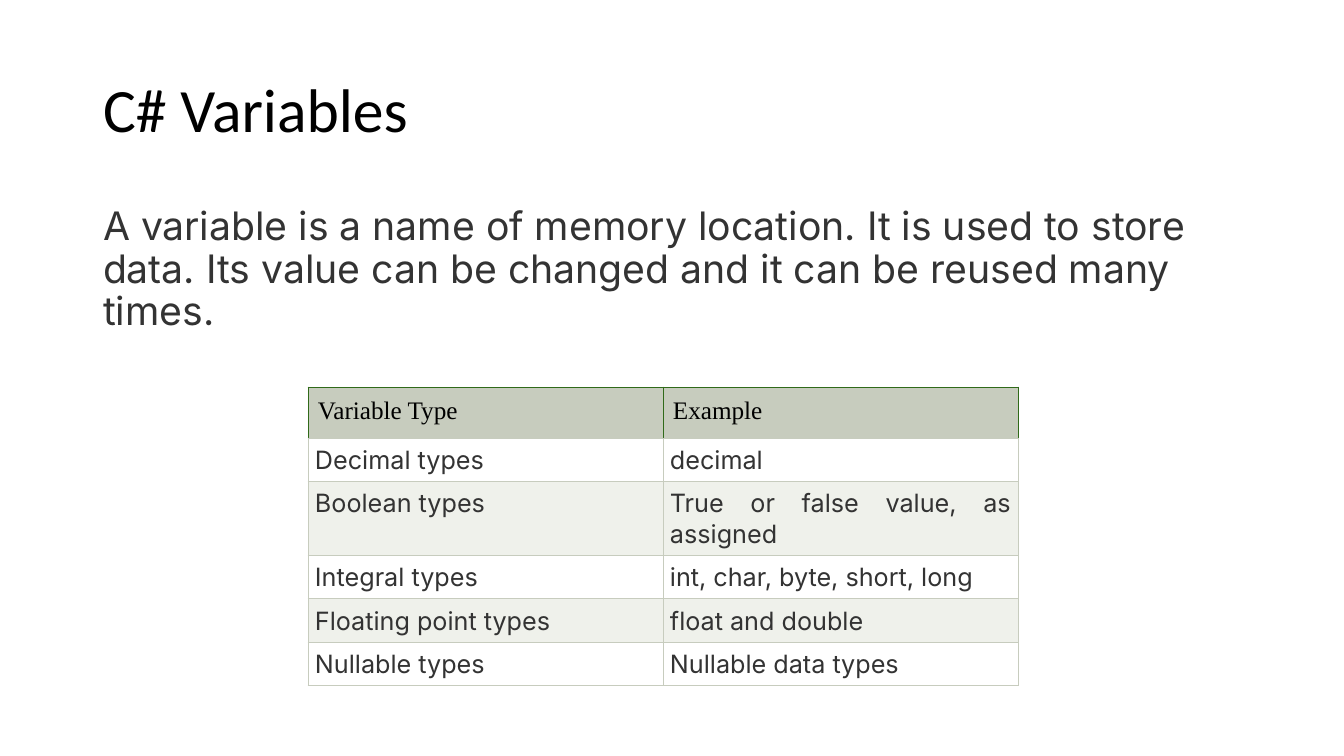
from typing import NamedTuple

from lxml.etree import SubElement
from pptx import Presentation
from pptx.dml.color import RGBColor
from pptx.enum.text import MSO_ANCHOR, MSO_AUTO_SIZE, PP_ALIGN
from pptx.oxml.ns import qn
from pptx.util import Pt

EMU_PER_PIXEL = 914400 / 100.8
BLACK, DARK_GREY, WHITE = "000000", "333333", "FFFFFF"
GREEN, SAGE, PALE_SAGE = "306A19", "C7CCBE", "EFF1EB"
SIDES = ("L", "R", "T", "B")
BORDER_WIDTH = Pt(0.6)


class Box(NamedTuple):
    """A rectangle in pixels."""
    left: int
    top: int
    width: int
    height: int


class TextStyle(NamedTuple):
    """Font and paragraph format of a text."""
    font: str
    size: int
    color: str
    paragraph: dict


class CellStyle(NamedTuple):
    """Look of a table cell: text, margins in pixels and side borders."""
    text: TextStyle
    margins: dict
    borders: dict


TITLE_BOX = Box(93, 40, 1159, 146)
BODY_BOX = Box(93, 202, 1159, 480)
TABLE_BOX = Box(308, 387, 710, 266)
HEADER_HEIGHT, ROW_HEIGHT = 51, 43

TITLE = TextStyle("Calibri", 44, BLACK,
                  {"alignment": PP_ALIGN.LEFT, "line_spacing": 0.9})
BODY = TextStyle("Inter", 28, DARK_GREY,
                 {"alignment": PP_ALIGN.LEFT, "line_spacing": 0.9,
                  "space_before": Pt(10)})
HEADER_CELL = CellStyle(
    TextStyle("Times New Roman", 18, BLACK, {"alignment": PP_ALIGN.LEFT}),
    {"margin_left": 10, "margin_right": 10, "margin_top": 10, "margin_bottom": 10},
    {"L": GREEN, "R": GREEN, "T": GREEN, "B": SAGE})
DATA_CELL = CellStyle(
    TextStyle("Inter", 18, DARK_GREY, {"alignment": PP_ALIGN.JUSTIFY}),
    {"margin_left": 7, "margin_right": 7, "margin_top": 7, "margin_bottom": 6},
    dict.fromkeys(SIDES, SAGE))

VARIABLE_TYPES = [
    ("Variable Type", "Example"),
    ("Decimal types", "decimal"),
    ("Boolean types", "True or false value, as assigned"),
    ("Integral types", "int, char, byte, short, long"),
    ("Floating point types", "float and double"),
    ("Nullable types", "Nullable data types"),
]


def px(pixels: int) -> int:
    """Turn pixels into EMU."""
    return round(pixels * EMU_PER_PIXEL)


def rgb(color: str) -> RGBColor:
    """Turn a hex string into a colour."""
    return RGBColor.from_string(color)


def set_attributes(target, values: dict) -> None:
    """Set every named attribute on the target."""
    for name, value in values.items():
        setattr(target, name, value)


def write_text(text_frame, text: str, style: TextStyle) -> None:
    """Write one formatted paragraph."""
    paragraph = text_frame.paragraphs[0]
    set_attributes(paragraph, style.paragraph)
    run = paragraph.add_run()
    run.text = text
    set_attributes(run.font, {"name": style.font, "size": Pt(style.size)})
    run.font.color.rgb = rgb(style.color)


def fill_placeholder(shape, box: Box, text: str, style: TextStyle, anchor) -> None:
    """Move a placeholder and write its text."""
    set_attributes(shape, {side: px(value) for side, value in box._asdict().items()})
    set_attributes(shape.text_frame, {"word_wrap": True, "vertical_anchor": anchor,
                                      "auto_size": MSO_AUTO_SIZE.NONE})
    write_text(shape.text_frame, text, style)


def remove_bullet(paragraph) -> None:
    """Take the bullet and its indent off a paragraph."""
    properties = paragraph._p.get_or_add_pPr()
    properties.set("marL", "0")
    properties.set("indent", "0")
    SubElement(properties, qn("a:buNone"))


def add_border(cell, side: str, color: str) -> None:
    """Draw one side border of a cell."""
    line = SubElement(cell._tc.get_or_add_tcPr(), qn(f"a:ln{side}"), w=str(BORDER_WIDTH))
    SubElement(SubElement(line, qn("a:solidFill")), qn("a:srgbClr"), val=color)


def format_cell(cell, text: str, style: CellStyle, fill: str) -> None:
    """Write, border and fill a cell."""
    set_attributes(cell, {name: px(value) for name, value in style.margins.items()})
    write_text(cell.text_frame, text, style.text)
    for side in SIDES:
        add_border(cell, side, style.borders[side])
    cell.fill.solid()
    cell.fill.fore_color.rgb = rgb(fill)


def add_variable_table(slide) -> None:
    """Add the table of variable types with alternating row fills."""
    rows, columns = len(VARIABLE_TYPES), len(VARIABLE_TYPES[0])
    table = slide.shapes.add_table(rows, columns, *map(px, TABLE_BOX)).table
    for column in table.columns:
        column.width = px(TABLE_BOX.width // columns)
    for row_index, texts in enumerate(VARIABLE_TYPES):
        is_header = row_index == 0
        table.rows[row_index].height = px(HEADER_HEIGHT if is_header else ROW_HEIGHT)
        style = HEADER_CELL if is_header else DATA_CELL
        fill = SAGE if is_header else (PALE_SAGE, WHITE)[row_index % 2]
        for column_index, text in enumerate(texts):
            format_cell(table.cell(row_index, column_index), text, style, fill)


def main() -> None:
    """Build and save the slide."""
    presentation = Presentation()
    set_attributes(presentation, {"slide_width": px(1344), "slide_height": px(756)})
    slide = presentation.slides.add_slide(presentation.slide_layouts[1])
    fill_placeholder(slide.shapes.title, TITLE_BOX, "C# Variables", TITLE,
                     MSO_ANCHOR.MIDDLE)
    body = slide.placeholders[1]
    fill_placeholder(body, BODY_BOX,
                     "A variable is a name of memory location. It is used to store data. "
                     "Its value can be changed and it can be reused many times.",
                     BODY, MSO_ANCHOR.TOP)
    remove_bullet(body.text_frame.paragraphs[0])
    add_variable_table(slide)
    presentation.save("out.pptx")


main()
